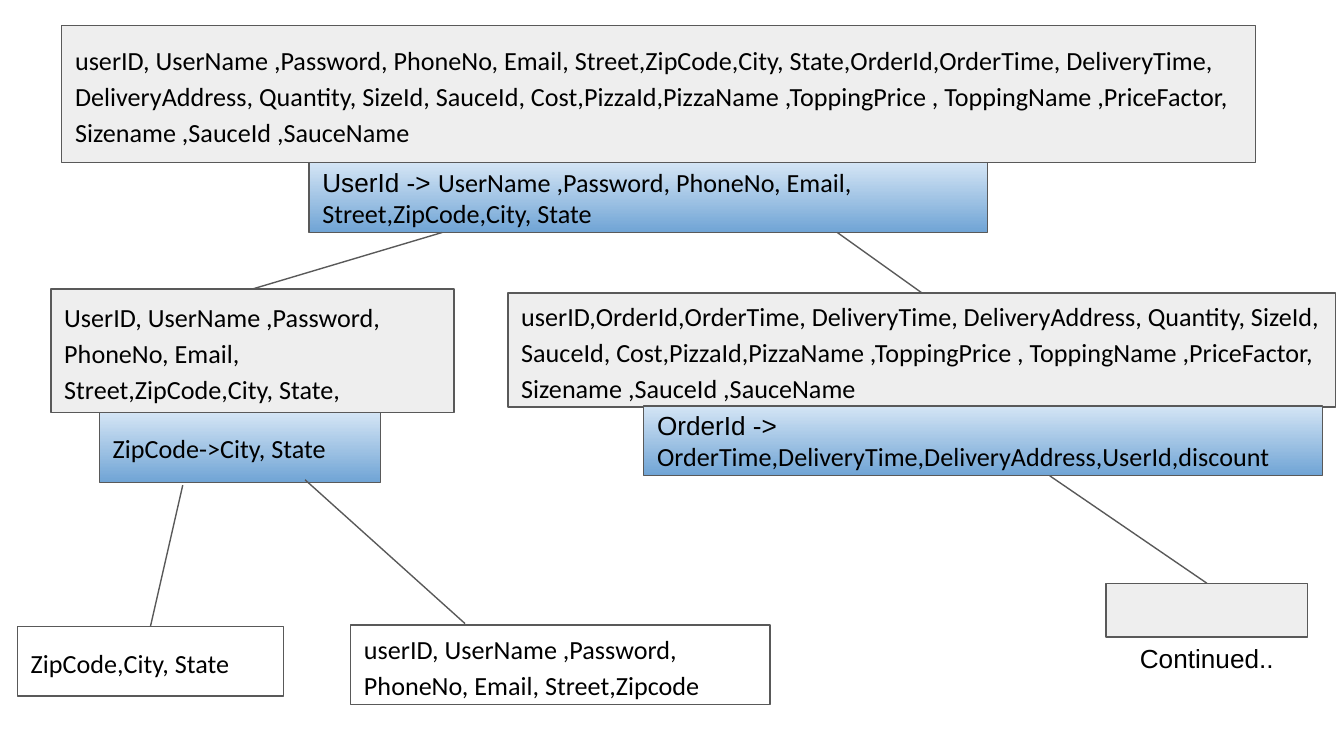
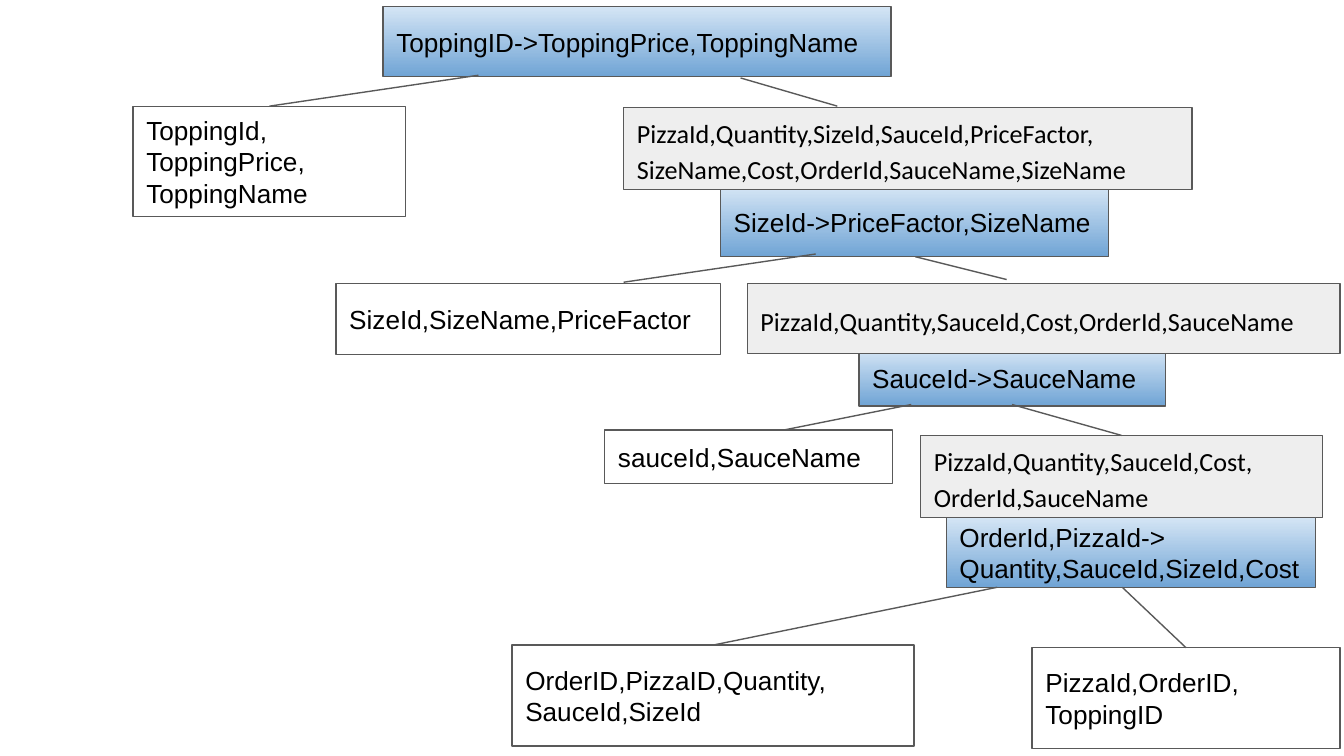
from lxml import etree
from pptx import Presentation
from pptx.dml.color import RGBColor
from pptx.enum.shapes import MSO_CONNECTOR, MSO_SHAPE
from pptx.enum.text import MSO_ANCHOR, PP_ALIGN
from pptx.oxml.ns import qn
from pptx.util import Inches, Pt

RECTANGLE = MSO_SHAPE.RECTANGLE
STRAIGHT = MSO_CONNECTOR.STRAIGHT
MIDDLE = MSO_ANCHOR.MIDDLE
LEFT, CENTER = PP_ALIGN.LEFT, PP_ALIGN.CENTER
TOP_SIDE = 0

BLACK, OUTLINE = "000000", "595959"
SANS, HUMANIST = "Arial", "Calibri"
LOOSE = {"line_spacing": 1.15, "space_after": Pt(16)}
RELATION_FORMAT = {**LOOSE, "space_before": Pt(10)}
# the tall line sets the words below the box
BELOW_FORMAT = {"alignment": CENTER, "line_spacing": Pt(68)}

# style: fill colours (two make a gradient), font, paragraph format
STYLES = {
    "relation": (["EEEEEE"], HUMANIST, RELATION_FORMAT),
    "dependency": (["D4E5F5", "70A4D5"], SANS, {}),
    "result": (["FFFFFF"], SANS, {}),
    "loose result": (["FFFFFF"], HUMANIST, LOOSE),
    "continuation": (["EEEEEE"], SANS, BELOW_FORMAT),
}

# box: name, style, (left, top, width, height), paragraphs
# a paragraph is a string, or a list of (text, font) runs
USER_BOXES = [
    ("all", "relation", (0.46, 0.19, 8.88, 1.02),
     ["userID, UserName ,Password, PhoneNo, Email, Street,ZipCode,City, "
      "State,OrderId,OrderTime, DeliveryTime, DeliveryAddress, Quantity, SizeId, "
      "SauceId, Cost,PizzaId,PizzaName ,ToppingPrice , ToppingName ,PriceFactor, "
      "Sizename ,SauceId ,SauceName"]),
    ("user key", "dependency", (2.3, 1.21, 5.05, 0.52),
     [[("UserId -> ", SANS),
       ("UserName ,Password, PhoneNo, Email, Street,ZipCode,City, State", HUMANIST)]]),
    ("user", "relation", (0.38, 2.15, 3, 0.92),
     ["UserID, UserName ,Password, PhoneNo, Email, Street,ZipCode,City, State,"]),
    ("zip key", "dependency", (0.74, 3.07, 2.09, 0.52),
     [[("ZipCode->City, State", HUMANIST)]]),
    ("order", "relation", (3.78, 2.18, 6.16, 0.85),
     ["userID,OrderId,OrderTime, DeliveryTime, DeliveryAddress, Quantity, SizeId, "
      "SauceId, Cost,PizzaId,PizzaName ,ToppingPrice , ToppingName ,PriceFactor, "
      "Sizename ,SauceId ,SauceName"]),
    ("order key", "dependency", (4.79, 3.02, 5.05, 0.52),
     [[("OrderId -> ", SANS),
       ("OrderTime,DeliveryTime,DeliveryAddress,UserId,discount", HUMANIST)]]),
    ("continued", "continuation", (8.23, 4.34, 1.5, 0.4), ["Continued.."]),
    ("zip", "loose result", (0.13, 4.66, 1.98, 0.52), ["ZipCode,City, State"]),
    ("address", "loose result", (2.61, 4.65, 3.12, 0.59),
     ["userID, UserName ,Password, PhoneNo, Email, Street,Zipcode"]),
]
# line: start point, then an end point or the box whose top middle it meets
USER_LINES = [
    ((3.29, 1.73), "user"),
    ((6.23, 1.73), "order"),
    ((1.36, 3.61), "zip"),
    ((2.27, 3.57), (3.46, 4.64)),
    ((7.81, 3.54), "continued"),
]

PIZZA_BOXES = [
    ("topping key", "dependency", (2.85, 0.05, 3.78, 0.52),
     ["ToppingID->ToppingPrice,ToppingName"]),
    ("topping", "result", (0.99, 0.79, 2.03, 0.82),
     ["ToppingId,", "ToppingPrice,", "ToppingName"]),
    ("size key", "dependency", (5.36, 1.39, 2.89, 0.52),
     ["SizeId->PriceFactor,SizeName"]),
    ("size", "result", (2.5, 2.11, 2.86, 0.53), ["SizeId,SizeName,PriceFactor"]),
    ("sauce key", "dependency", (6.39, 2.6, 2.28, 0.42), ["SauceId->SauceName"]),
    ("sauce", "result", (4.5, 3.2, 2.14, 0.4), ["sauceId,SauceName"]),
    ("pizza with size", "relation", (4.64, 0.8, 4.23, 0.61),
     ["PizzaId,Quantity,SizeId,SauceId,PriceFactor, "
      "SizeName,Cost,OrderId,SauceName,SizeName"]),
    ("pizza with sauce", "relation", (5.56, 2.11, 4.41, 0.52),
     ["PizzaId,Quantity,SauceId,Cost,OrderId,SauceName"]),
    ("pizza", "relation", (6.85, 3.24, 2.99, 0.61),
     ["PizzaId,Quantity,SauceId,Cost, OrderId,SauceName"]),
    ("pizza key", "dependency", (7.04, 3.85, 2.75, 0.52),
     ["OrderId,PizzaId-> Quantity,SauceId,SizeId,Cost"]),
    ("order item", "result", (3.81, 4.8, 2.99, 0.75),
     ["OrderID,PizzaID,Quantity, SauceId,SizeId"]),
    ("item topping", "result", (7.68, 4.82, 2.29, 0.75),
     ["PizzaId,OrderID, ToppingID"]),
]
PIZZA_LINES = [
    ((3.56, 0.56), "topping"),
    ((5.51, 0.58), (6.23, 0.79)),
    ((6.07, 1.89), (4.64, 2.1)),
    ((6.81, 1.91), (7.49, 2.08)),
    ((6.78, 3.01), (5.83, 3.2)),
    ((7.53, 3.01), "pizza"),
    ((7.42, 4.37), "order item"),
    ((8.35, 4.37), "item topping"),
]

SLIDES = [(USER_BOXES, USER_LINES), (PIZZA_BOXES, PIZZA_LINES)]


def color(value):
    return RGBColor.from_string(value)


def set_format(target, values):
    for name, value in values.items():
        setattr(target, name, value)


def set_outline(line):
    line.color.rgb = color(OUTLINE)
    line.width = Pt(0.75)


def fill_box(fill, colors):
    if len(colors) == 1:
        fill.solid()
        fill.fore_color.rgb = color(colors[0])
        return
    fill.gradient()
    fill.gradient_angle = 270
    for stop, value in zip(fill.gradient_stops, colors):
        stop.color.rgb = color(value)


def write_text(frame, paragraphs, font, paragraph_format):
    margins = ("margin_left", "margin_top", "margin_right", "margin_bottom")
    set_format(frame, {"word_wrap": True, "vertical_anchor": MIDDLE,
                       **dict.fromkeys(margins, Inches(0.1))})
    for index, content in enumerate(paragraphs):
        paragraph = frame.add_paragraph() if index else frame.paragraphs[0]
        set_format(paragraph, {"alignment": LEFT, **paragraph_format})
        runs = [(content, font)] if isinstance(content, str) else content
        for text, run_font in runs:
            run = paragraph.add_run()
            run.text = text
            set_format(run.font, {"name": run_font, "size": Pt(14)})
            run.font.color.rgb = color(BLACK)


def add_box(slide, style, position, paragraphs):
    colors, font, paragraph_format = STYLES[style]
    place = [Inches(value) for value in position]
    shape = slide.shapes.add_shape(RECTANGLE, *place)
    shape.shadow.inherit = False
    fill_box(shape.fill, colors)
    set_outline(shape.line)
    write_text(shape.text_frame, paragraphs, font, paragraph_format)
    return shape


def add_line(slide, start, end, boxes):
    target = boxes.get(end)
    end_point = start if target else end
    points = [Inches(value) for value in (*start, *end_point)]
    connector = slide.shapes.add_connector(STRAIGHT, *points)
    if target:
        connector.end_connect(target, TOP_SIDE)
    set_outline(connector.line)
    etree.SubElement(connector._element.spPr, qn("a:effectLst"))


def main():
    presentation = Presentation()
    presentation.slide_width = Inches(10)
    presentation.slide_height = Inches(10 * 9 / 16)
    blank = presentation.slide_layouts[6]
    for box_rows, line_rows in SLIDES:
        slide = presentation.slides.add_slide(blank)
        boxes = {name: add_box(slide, *row) for name, *row in box_rows}
        for start, end in line_rows:
            add_line(slide, start, end, boxes)
    presentation.save("out.pptx")


if __name__ == "__main__":
    main()
